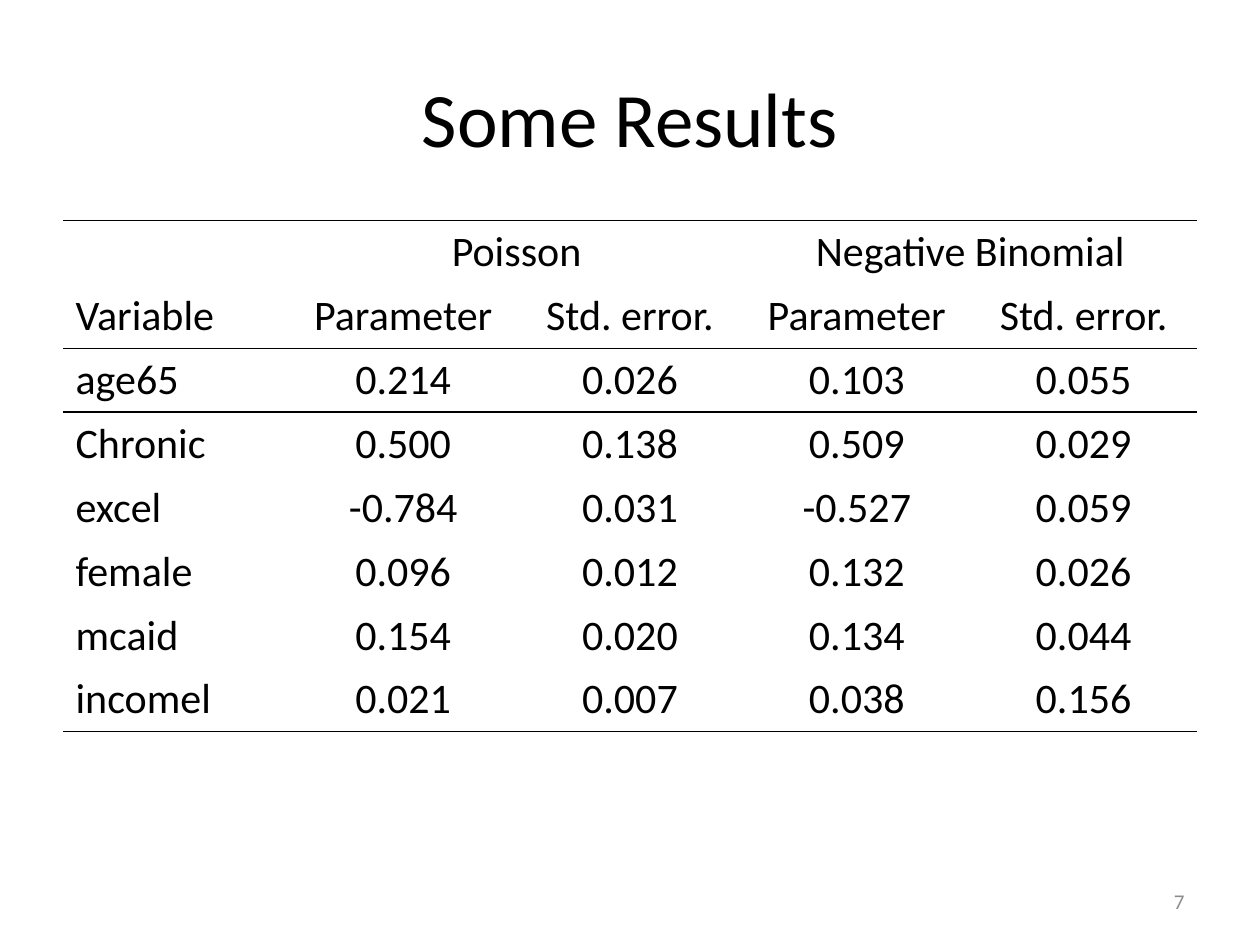
from lxml import etree
from pptx import Presentation
from pptx.dml.color import RGBColor
from pptx.enum.text import MSO_ANCHOR, PP_ALIGN
from pptx.oxml.ns import qn
from pptx.util import Inches, Pt

LEFT, CENTER, RIGHT = PP_ALIGN.LEFT, PP_ALIGN.CENTER, PP_ALIGN.RIGHT
MIDDLE = MSO_ANCHOR.MIDDLE
FONT = "Calibri"
BLACK, GRAY = "000000", "8C8C8C"
RULE_WIDTHS = {0: 1, 2: 1, 3: 1.5, 8: 1}
RESULTS = [
    ["", "Poisson", "", "Negative Binomial", ""],
    ["Variable", "Parameter", "Std. error.", "Parameter", "Std. error."],
    ["age65", "0.214", "0.026", "0.103", "0.055"],
    ["Chronic", "0.500", "0.138", "0.509", "0.029"],
    ["excel", "-0.784", "0.031", "-0.527", "0.059"],
    ["female", "0.096", "0.012", "0.132", "0.026"],
    ["mcaid", "0.154", "0.020", "0.134", "0.044"],
    ["incomel", "0.021", "0.007", "0.038", "0.156"],
]


def color(value):
    """Turn a hex string into a colour."""
    return RGBColor.from_string(value)


def style_paragraph(para, size, fill, align):
    """Set the font and alignment of a paragraph."""
    para.alignment = align
    para.font.name = FONT
    para.font.size = Pt(size)
    para.font.color.rgb = color(fill)


def add_label(page, box, text, size, fill, align):
    """Place one line of text, vertically centred in its box."""
    frame = page.shapes.add_textbox(*map(Inches, box)).text_frame
    frame.word_wrap = True
    frame.vertical_anchor = MIDDLE
    frame.text = text
    style_paragraph(frame.paragraphs[0], size, fill, align)


def set_borders(cell, top, bottom):
    """Draw the horizontal borders of a cell; a width of zero hides one."""
    properties = cell._tc.get_or_add_tcPr()
    for side, width in (("L", 0), ("R", 0), ("T", top), ("B", bottom)):
        line = etree.SubElement(properties, qn(f"a:ln{side}"), w=str(Pt(width)))
        if width:
            fill = etree.SubElement(line, qn("a:solidFill"))
            etree.SubElement(fill, qn("a:srgbClr"), val=BLACK)
        else:
            etree.SubElement(line, qn("a:noFill"))


def add_results_table(page, box, rows):
    """Place the table of estimates with equal columns and rows."""
    table = page.shapes.add_table(len(rows), len(rows[0]), *map(Inches, box)).table
    table.first_row = False
    table.horz_banding = False
    for row, values in enumerate(rows):
        for column, value in enumerate(values):
            cell = table.cell(row, column)
            cell.text = value
            style_paragraph(cell.text_frame.paragraphs[0], 24, BLACK,
                            CENTER if column else LEFT)
            set_borders(cell, RULE_WIDTHS.get(row, 0), RULE_WIDTHS.get(row + 1, 0))
            cell.fill.background()
    for column in (1, 3):
        table.cell(0, column).merge(table.cell(0, column + 1))


def build_deck():
    """Build the results slide and save it."""
    deck = Presentation()
    deck.slide_width, deck.slide_height = Inches(10), Inches(7.5)
    page = deck.slides.add_slide(deck.slide_layouts[6])
    add_results_table(page, (0.5, 1.75, 9, 4), RESULTS)
    add_label(page, (0.5, 0.3, 9, 1.25), "Some Results", 44, BLACK, CENTER)
    add_label(page, (7.17, 6.95, 2.33, 0.4), "7", 12, GRAY, RIGHT)
    deck.save("out.pptx")


build_deck()
